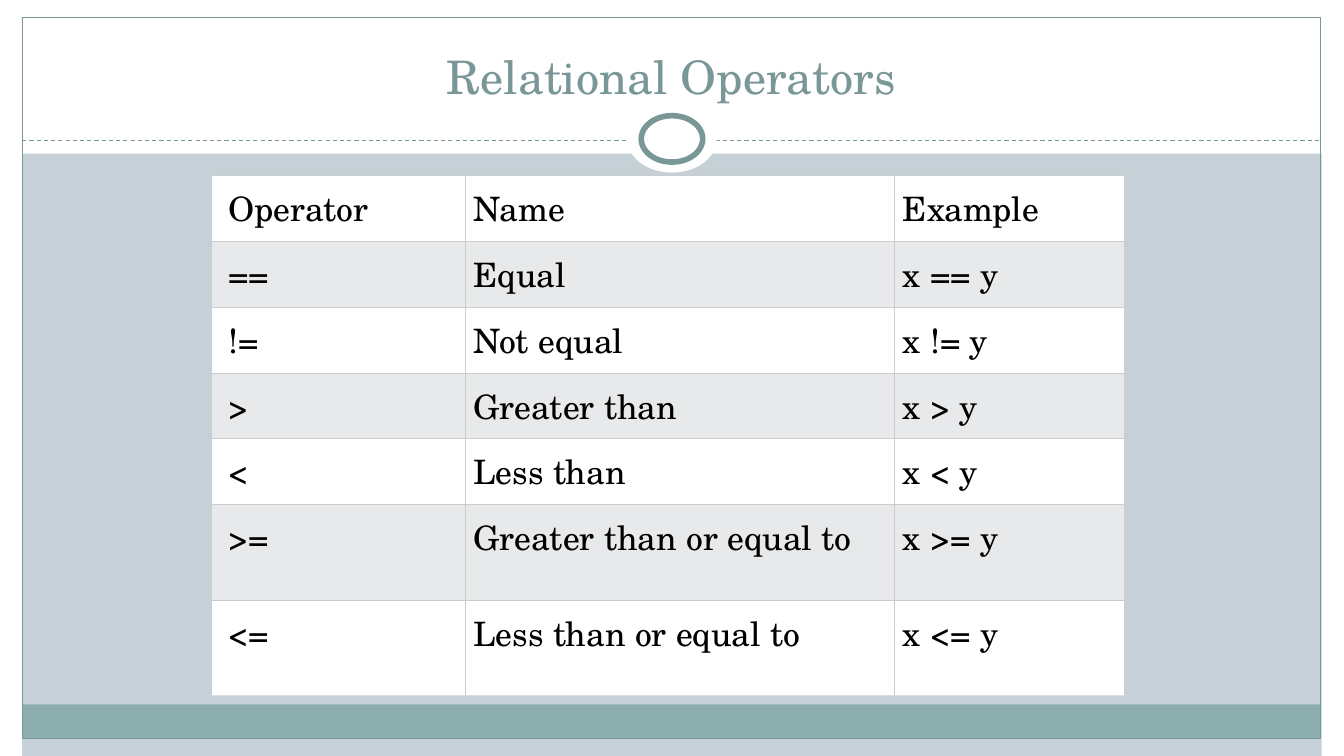
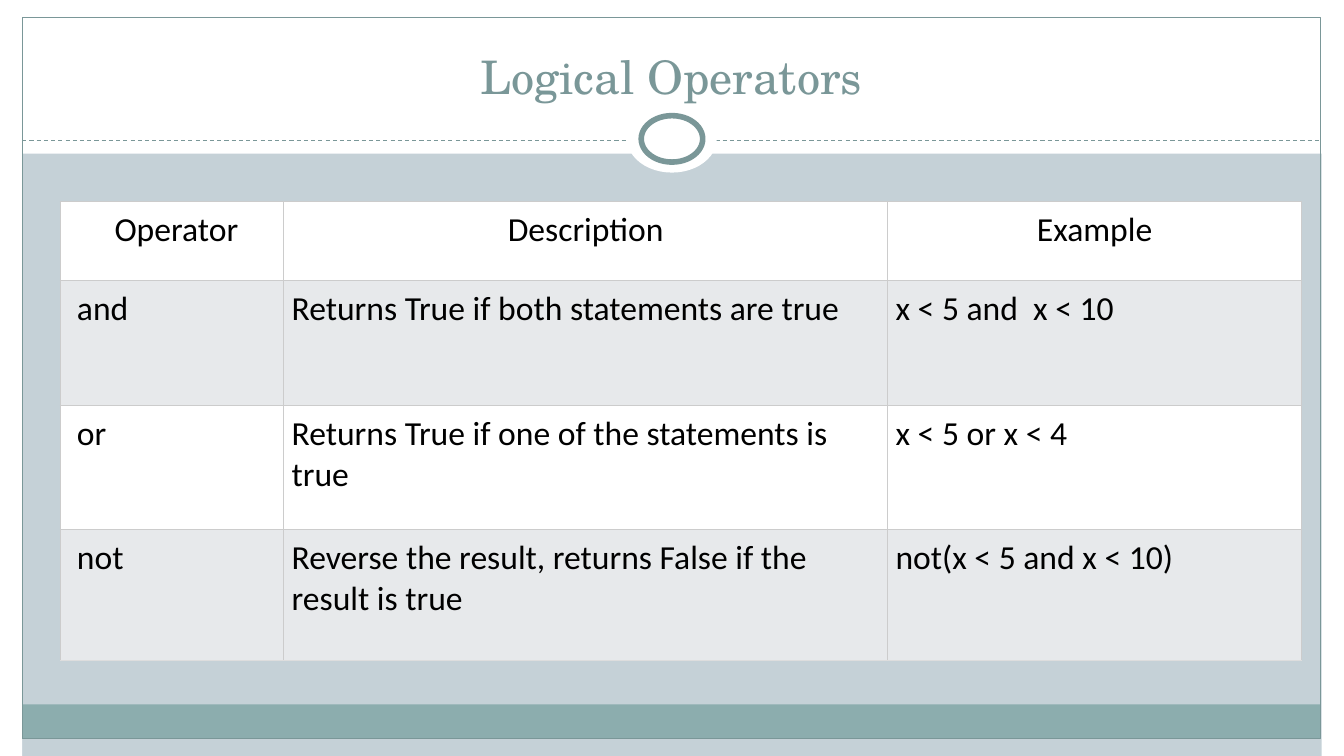
from lxml.etree import SubElement
from pptx import Presentation
from pptx.dml.color import RGBColor
from pptx.enum.dml import MSO_LINE
from pptx.enum.shapes import MSO_CONNECTOR, MSO_SHAPE
from pptx.enum.text import MSO_ANCHOR, PP_ALIGN
from pptx.oxml.ns import qn
from pptx.util import Cm, Pt

SLIDES = [
    {
        "title": "Relational Operators",
        "font": "TeX Gyre Schola",
        "header_align": PP_ALIGN.LEFT,
        "at": (5.33, 4.42),
        "cols": [6.4, 10.82, 5.79],
        "heights": [1.66] * 5 + [2.4] * 2,
        "rows": [
            ("Operator", "Name", "Example"),
            ("==", "Equal", "x == y"),
            ("!=", "Not equal", "x != y"),
            (">", "Greater than", "x > y"),
            ("<", "Less than", "x < y"),
            (">=", "Greater than or equal to", "x >= y"),
            ("<=", "Less than or equal to", "x <= y"),
        ],
    },
    {
        "title": "Logical Operators",
        "font": "Calibri",
        "header_align": PP_ALIGN.CENTER,
        "at": (1.52, 5.08),
        "cols": [5.63, 15.22, 10.43],
        "heights": [1.98, 3.15, 3.14, 3.29],
        "rows": [
            ("Operator", "Description", "Example"),
            ("and\u00a0", "Returns True if both statements are true",
             "x < 5 and\u00a0 x < 10"),
            ("or", "Returns True if one of the statements is true",
             "x < 5 or x < 4"),
            ("not", "Reverse the result, returns False if the result is true",
             "not(x < 5 and x < 10)"),
        ],
    },
]

COLORS = {
    "background": "C5D1D7", "white": "FFFFFF", "band": "8CADAE",
    "accent": "7A9798", "text": "000000", "stripe": "E7E9EB",
    "grid": "CCCCCC", "grid_end": "DDDDDD",
}
TITLE_FONT = "TeX Gyre Schola"
WIDTH, HEIGHT = 33.87, 19.05
MARGIN = 0.56
INNER = 32.73
RULE_Y = 3.54
RING_Y = 3.5


def rgb(name):
    return RGBColor.from_string(COLORS[name])


def add_block(s, kind, x, y, w, h, fill=None, line=None, weight=0.75):
    sp = s.shapes.add_shape(kind, Cm(x), Cm(y), Cm(w), Cm(h))
    sp.shadow.inherit = False
    if fill:
        sp.fill.solid()
        sp.fill.fore_color.rgb = rgb(fill)
    else:
        sp.fill.background()
    if line:
        sp.line.color.rgb = rgb(line)
        sp.line.width = Pt(weight)
    else:
        sp.line.fill.background()


def add_ring(s, w, h, **style):
    add_block(s, MSO_SHAPE.OVAL, (WIDTH - w) / 2, RING_Y - h / 2, w, h, **style)


def add_frame(s):
    rect = MSO_SHAPE.RECTANGLE
    add_block(s, rect, 0, 0, WIDTH, 3.87, "white")
    for x in (0, WIDTH - MARGIN):
        add_block(s, rect, x, 0, MARGIN, HEIGHT, "white")
    add_block(s, rect, MARGIN, 17.75, INNER, 0.87, "band")
    add_block(s, rect, MARGIN, 0.43, INNER, 18.19, line="accent")
    rule = s.shapes.add_connector(MSO_CONNECTOR.STRAIGHT, Cm(MARGIN), Cm(RULE_Y),
                                  Cm(MARGIN + INNER), Cm(RULE_Y))
    rule.line.color.rgb = rgb("accent")
    rule.line.width = Pt(0.75)
    rule.line.dash_style = MSO_LINE.DASH
    SubElement(rule._element.spPr, qn("a:effectLst"))
    add_ring(s, 2.26, 1.7, fill="white")
    add_ring(s, 1.55, 1.17, fill="white", line="accent", weight=4)


def add_title(s, text):
    tf = s.shapes.add_textbox(Cm(1.12), Cm(0.63), Cm(31.6), Cm(2.11)).text_frame
    tf.word_wrap = True
    tf.vertical_anchor = MSO_ANCHOR.BOTTOM
    p = tf.paragraphs[0]
    p.text = text
    p.alignment = PP_ALIGN.CENTER
    set_font(p, TITLE_FONT, 33, "accent")


def set_font(p, name, size, color):
    p.font.name = name
    p.font.size = Pt(size)
    p.font.color.rgb = rgb(color)


def set_borders(cell, bottom):
    tcPr = cell._tc.get_or_add_tcPr()
    for side in "LRTB":
        ln = SubElement(tcPr, qn("a:ln" + side), w=str(Pt(0.75)))
        fill = SubElement(ln, qn("a:solidFill"))
        color = bottom if side == "B" else "grid"
        SubElement(fill, qn("a:srgbClr"), val=COLORS[color])


def add_grid(s, data):
    rows, cols, heights = data["rows"], data["cols"], data["heights"]
    x, y = data["at"]
    table = s.shapes.add_table(len(rows), len(cols), Cm(x), Cm(y),
                               Cm(sum(cols)), Cm(sum(heights))).table
    table.first_row = table.horz_banding = False
    for col, width in zip(table.columns, cols):
        col.width = Cm(width)
    for i, values in enumerate(rows):
        table.rows[i].height = Cm(heights[i])
        for j, value in enumerate(values):
            cell = table.cell(i, j)
            set_borders(cell, "grid_end" if i == len(rows) - 1 else "grid")
            cell.fill.solid()
            cell.fill.fore_color.rgb = rgb("stripe" if i % 2 else "white")
            cell.margin_left = Cm(0.2 if j else 0.42)
            cell.margin_right = cell.margin_top = cell.margin_bottom = Cm(0.2)
            p = cell.text_frame.paragraphs[0]
            p.text = value
            p.alignment = PP_ALIGN.LEFT if i else data["header_align"]
            set_font(p, data["font"], 24, "text")


prs = Presentation()
prs.slide_width, prs.slide_height = Cm(WIDTH), Cm(HEIGHT)
background = prs.slide_master.background.fill
background.solid()
background.fore_color.rgb = rgb("background")
for data in SLIDES:
    s = prs.slides.add_slide(prs.slide_layouts[6])
    add_frame(s)
    add_title(s, data["title"])
    add_grid(s, data)
prs.save("out.pptx")
